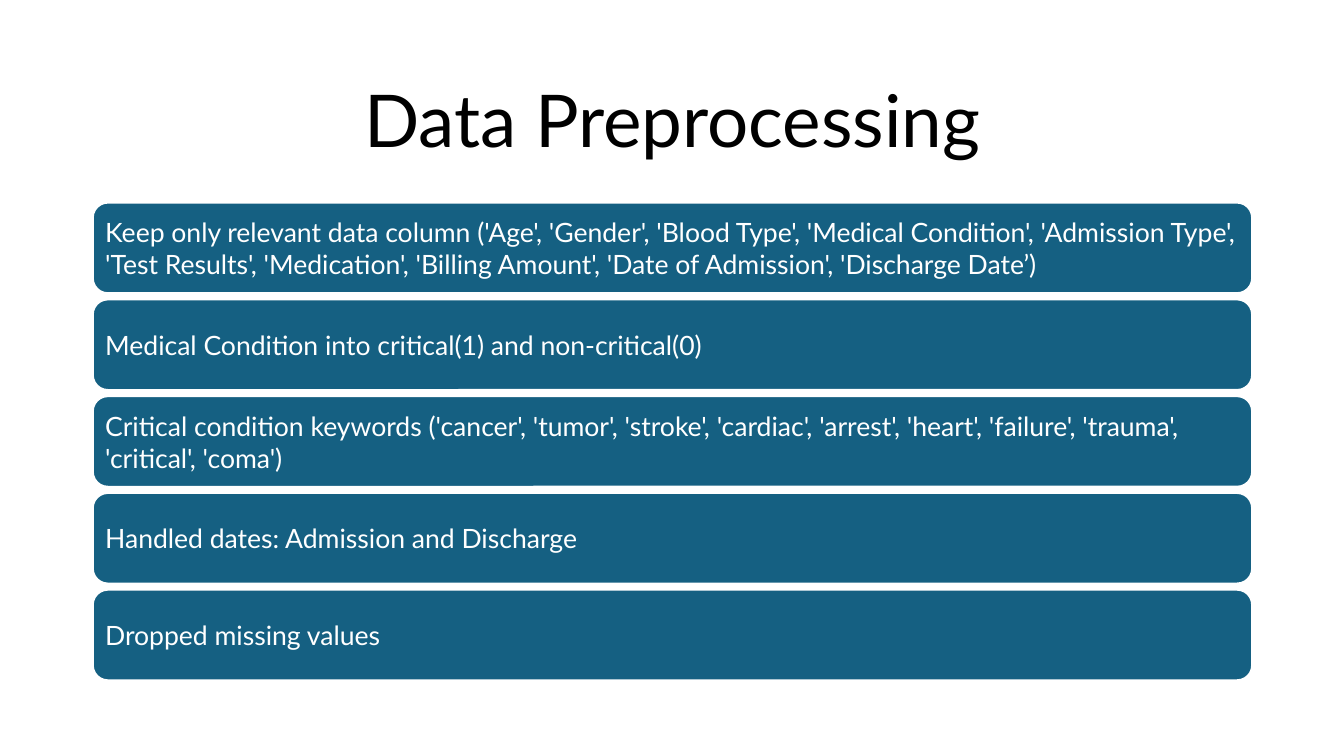
from pptx import Presentation
from pptx.dml.color import RGBColor
from pptx.enum.shapes import MSO_SHAPE
from pptx.enum.text import MSO_ANCHOR, PP_ALIGN
from pptx.util import Inches, Pt

FONT = "Lato"
COLORS = {"title": "000000", "bar": "156082", "white": "FFFFFF"}
STEPS = [
    "Keep only relevant data column ('Age', 'Gender', 'Blood Type', "
    "'Medical Condition', 'Admission Type', 'Test Results', 'Medication', "
    "'Billing Amount', 'Date of Admission', 'Discharge Date’)",
    "Medical Condition into critical(1) and non-critical(0)",
    "Critical condition keywords ('cancer', 'tumor', 'stroke', 'cardiac', "
    "'arrest', 'heart', 'failure', 'trauma', 'critical', 'coma')",
    "Handled dates: Admission and Discharge",
    "Dropped missing values",
]


def color(name):
    return RGBColor.from_string(COLORS[name])


def write_text(shape, text, size, color_name, alignment):
    """Fill a shape with one vertically centred, wrapped paragraph."""
    frame = shape.text_frame
    frame.word_wrap = True
    frame.vertical_anchor = MSO_ANCHOR.MIDDLE
    paragraph = frame.paragraphs[0]
    paragraph.text = text
    paragraph.alignment = alignment
    paragraph.font.name = FONT
    paragraph.font.size = Pt(size)
    paragraph.font.color.rgb = color(color_name)
    return paragraph


def add_title(slide, text, left, top, width, height):
    box = slide.shapes.add_textbox(left, top, width, height)
    paragraph = write_text(box, text, 52, "title", PP_ALIGN.CENTER)
    paragraph.line_spacing = 0.9


def add_step_bar(slide, text, left, top, width, height):
    bar = slide.shapes.add_shape(MSO_SHAPE.ROUNDED_RECTANGLE, left, top, width, height)
    bar.shadow.inherit = False
    bar.fill.solid()
    bar.fill.fore_color.rgb = color("bar")
    bar.line.color.rgb = color("white")
    bar.line.width = Pt(1.5)
    frame = bar.text_frame
    frame.margin_left = frame.margin_right = Inches(0.08)
    frame.margin_top = frame.margin_bottom = Inches(0.08)
    write_text(bar, text, 19, "white", PP_ALIGN.LEFT)


def add_step_list(slide, steps, left, top, width, height):
    """Stack equal bars down the box, with equal gaps between them."""
    gap = Inches(0.06)
    bar_height = (height - gap * (len(steps) - 1)) // len(steps)
    for index, step in enumerate(steps):
        bar_top = top + index * (bar_height + gap)
        add_step_bar(slide, step, left, bar_top, width, bar_height)


def main():
    presentation = Presentation()
    presentation.slide_width = Inches(13.33)
    presentation.slide_height = Inches(7.5)
    slide = presentation.slides.add_slide(presentation.slide_layouts[6])
    left, width = Inches(0.92), Inches(11.5)
    add_title(slide, "Data Preprocessing", left, Inches(0.61), width, Inches(1.24))
    add_step_list(slide, STEPS, left, Inches(2.01), width, Inches(4.74))
    presentation.save("out.pptx")


if __name__ == "__main__":
    main()
